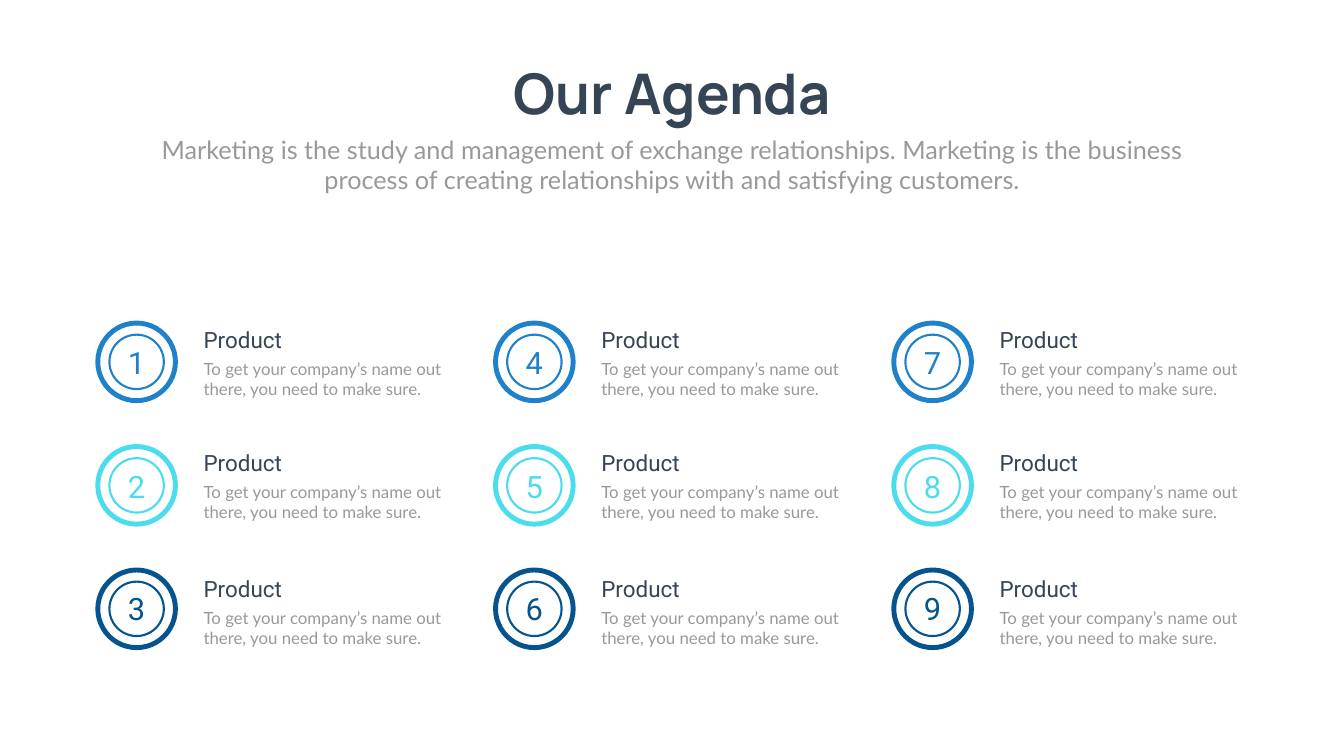
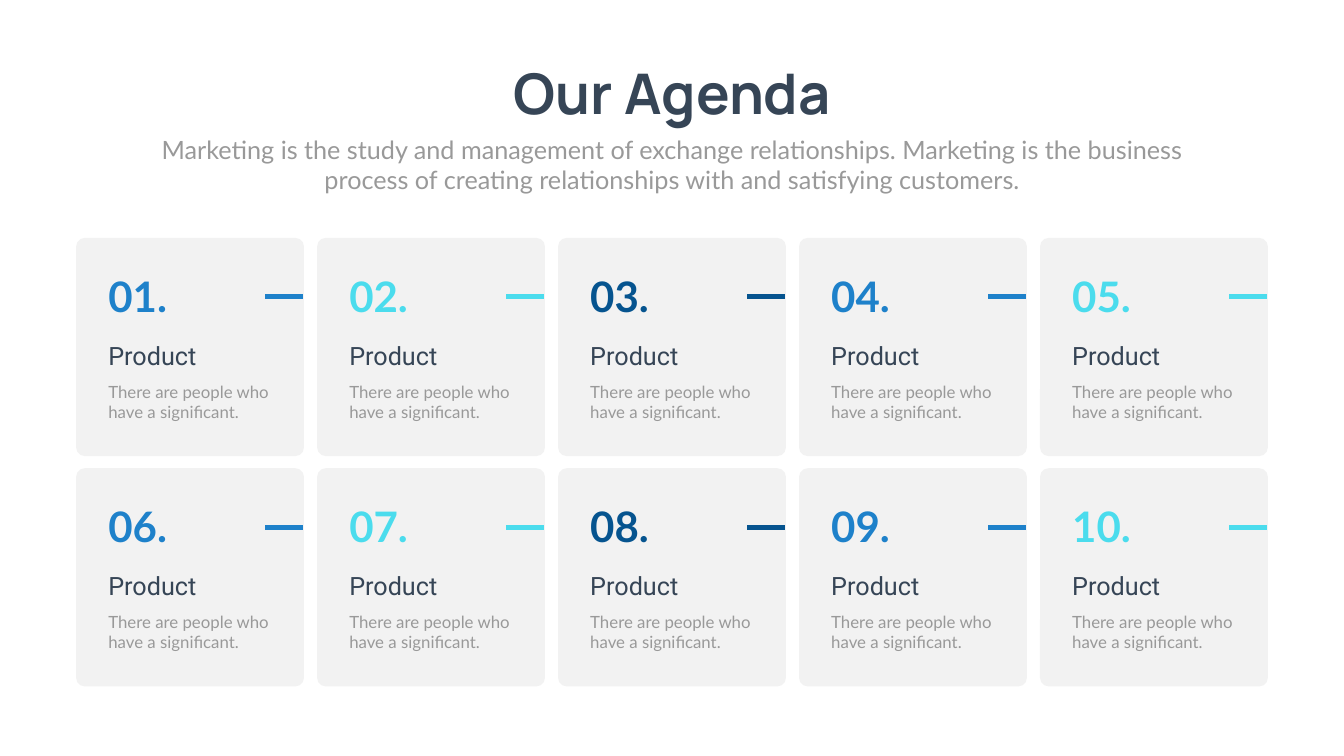
"""Build two agenda slides: a numbered ring list and a grid of numbered cards."""
import pptx
import pptx.dml.color
import pptx.enum.shapes
import pptx.enum.text
import pptx.oxml
import pptx.oxml.ns
import pptx.util

Inches = pptx.util.Inches
Pt = pptx.util.Pt
RGBColor = pptx.dml.color.RGBColor
MSO_SHAPE = pptx.enum.shapes.MSO_SHAPE
PP_ALIGN = pptx.enum.text.PP_ALIGN

BLUE = RGBColor(0x1E, 0x81, 0xCA)
CYAN = RGBColor(0x4B, 0xDC, 0xED)
NAVY = RGBColor(0x06, 0x54, 0x8F)
SLATE = RGBColor(0x36, 0x45, 0x56)
GRAY = RGBColor(0x99, 0x99, 0x99)
CARD_FILL = RGBColor(0xF2, 0xF2, 0xF2)
ACCENTS = [BLUE, CYAN, NAVY]

TITLE = "Our Agenda"
SUBTITLE = (
    "Marketing is the study and management of exchange relationships. "
    "Marketing is the business process of creating relationships with "
    "and satisfying customers."
)
RING_ITEMS = [("Product", "To get your company’s name out there, you need to make sure.")] * 9
CARD_ITEMS = [("Product", "There are people who have a significant.")] * 10

TITLE_FONT = {"name": "Manrope", "size": Pt(80), "bold": True}
SUBTITLE_FONT = {"name": "Lato", "size": Pt(36)}
BODY_FONT = {"name": "Lato", "size": Pt(24)}
RING_NUMBER_FONT = {"name": "Roboto", "size": Pt(44)}
RING_LABEL_FONT = {"name": "Roboto", "size": Pt(32)}
CARD_NUMBER_FONT = {"name": "Lato", "size": Pt(60), "bold": True}
CARD_LABEL_FONT = {"name": "Roboto", "size": Pt(36)}

RING_LEFTS = [1.94, 9.83, 17.73]
RING_ROWS = [
    {"ring": 6.41, "number": 6.77, "label": 6.42},
    {"ring": 8.86, "number": 9.23, "label": 8.87},
    {"ring": 11.31, "number": 11.66, "label": 11.37},
]
RINGS = [(0, 1.54, 7), (0.23, 1.08, 3)]

CARD_LEFT, CARD_TOP = 1.51, 4.72
CARD_WIDTH, CARD_HEIGHT = 4.52, 4.33
CARD_STEP_X, CARD_STEP_Y = 4.78, 4.57
CARD_LABEL_WIDTHS = [2.4, 2.4, 3.2, 3.44, 2.4]


def place(shape, left, top, width, height):
    shape.left, shape.top = Inches(left), Inches(top)
    shape.width, shape.height = Inches(width), Inches(height)


def write(shape, text, font, color, align=PP_ALIGN.LEFT, wrap=True):
    tf = shape.text_frame
    tf.word_wrap = wrap
    tf.auto_size = pptx.enum.text.MSO_AUTO_SIZE.SHAPE_TO_FIT_TEXT
    tf.vertical_anchor = pptx.enum.text.MSO_ANCHOR.TOP
    p = tf.paragraphs[0]
    p.alignment = align
    r = p.add_run()
    r.text = text
    for key, value in font.items():
        setattr(r.font, key, value)
    r.font.color.rgb = color


def add_text(shapes, box, text, font, color, align=PP_ALIGN.LEFT):
    write(shapes.add_textbox(*map(Inches, box)), text, font, color, align)


def add_agenda_slide(prs):
    s = prs.slides.add_slide(prs.slide_layouts[5])
    place(s.shapes.title, 9.78, 1.12, 7.11, 1.45)
    write(s.shapes.title, TITLE, TITLE_FONT, SLATE, PP_ALIGN.CENTER, wrap=False)
    add_text(s.shapes, (2.92, 2.61, 20.82, 1.31), SUBTITLE, SUBTITLE_FONT, GRAY,
             PP_ALIGN.CENTER)
    return s


def add_ring_item(shapes, left, row, number, label, body, color):
    for inset, size, weight in RINGS:
        ring = shapes.add_shape(MSO_SHAPE.OVAL, Inches(left + inset),
                                Inches(row["ring"] + inset), Inches(size), Inches(size))
        ring.shadow.inherit = False
        ring.fill.background()
        ring.line.color.rgb = color
        ring.line.width = Pt(weight)
    add_text(shapes, (left + 2, row["label"], 4.99, 0.64), label, RING_LABEL_FONT, SLATE)
    add_text(shapes, (left + 2, row["label"] + 0.64, 4.94, 0.91), body, BODY_FONT, GRAY)
    add_text(shapes, (left + 0.35, row["number"], 0.84, 0.84), str(number),
             RING_NUMBER_FONT, color, PP_ALIGN.CENTER)


def add_card(shapes, left, top, number, label, label_width, body, color):
    card = shapes.add_shape(MSO_SHAPE.ROUNDED_RECTANGLE, Inches(left), Inches(top),
                            Inches(CARD_WIDTH), Inches(CARD_HEIGHT))
    card.adjustments[0] = 0.04
    card.shadow.inherit = False
    card.fill.solid()
    card.fill.fore_color.rgb = CARD_FILL
    card.line.fill.background()

    text_left = left + 0.54
    add_text(shapes, (text_left, top + 0.59, 1.43, 1.11), f"{number:02d}.",
             CARD_NUMBER_FONT, color)
    add_text(shapes, (text_left, top + 1.98, label_width, 0.71), label,
             CARD_LABEL_FONT, SLATE)
    add_text(shapes, (text_left, top + 2.8, 3.44, 0.91), body, BODY_FONT, GRAY)

    y = Inches(top + 1.17)
    dash = shapes.add_connector(pptx.enum.shapes.MSO_CONNECTOR.STRAIGHT,
                                Inches(left + 3.75), y, Inches(left + 4.51), y)
    dash.line.color.rgb = color
    dash.line.width = Pt(7)
    pptx.oxml.ns.qn("a:effectLst")
    dash._element.spPr.append(pptx.oxml.parse_xml(
        f"<a:effectLst {pptx.oxml.ns.nsdecls('a')}/>"))


def build_ring_slide(prs):
    s = add_agenda_slide(prs)
    groups = [s.shapes.add_group_shape() for _ in RING_LEFTS]
    for i, (label, body) in enumerate(RING_ITEMS):
        col, row = divmod(i, len(RING_ROWS))
        add_ring_item(groups[col].shapes, RING_LEFTS[col], RING_ROWS[row], i + 1,
                      label, body, ACCENTS[row])


def build_card_slide(prs):
    s = add_agenda_slide(prs)
    for i, (label, body) in enumerate(CARD_ITEMS):
        row, col = divmod(i, len(CARD_LABEL_WIDTHS))
        add_card(s.shapes, CARD_LEFT + col * CARD_STEP_X, CARD_TOP + row * CARD_STEP_Y,
                 i + 1, label, CARD_LABEL_WIDTHS[col], body, ACCENTS[col % len(ACCENTS)])


def main():
    prs = pptx.Presentation()
    prs.slide_width, prs.slide_height = Inches(26.66), Inches(15)
    build_ring_slide(prs)
    build_card_slide(prs)
    prs.save("out.pptx")


if __name__ == "__main__":
    main()
